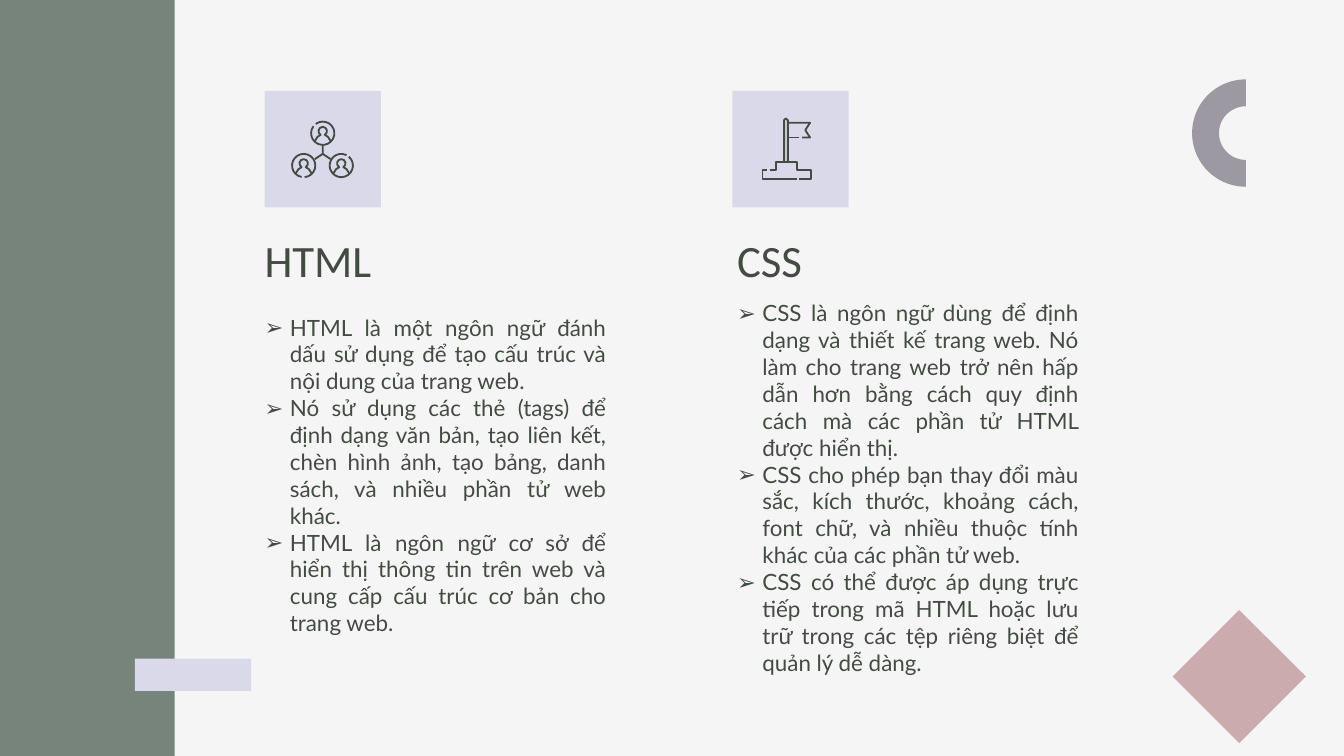
"""Builds a slide that introduces HTML and CSS side by side."""
from math import cos, radians, sin

from lxml.etree import SubElement
from pptx import Presentation
from pptx.dml.color import RGBColor
from pptx.enum.shapes import MSO_SHAPE
from pptx.enum.text import MSO_ANCHOR, PP_ALIGN
from pptx.oxml.ns import qn
from pptx.util import Cm, Pt

PAPER = RGBColor(0xF5, 0xF5, 0xF5)
SAGE = RGBColor(0x77, 0x84, 0x7B)
LILAC = RGBColor(0xDA, 0xD9, 0xE9)
ROSE = RGBColor(0xCC, 0xAB, 0xAF)
GREY = RGBColor(0x9C, 0x99, 0xA2)
INK = RGBColor(0x43, 0x4B, 0x43)

TOPICS = [
    {"title": "HTML", "left": 4.75, "tile_left": 5.0, "points_top": 5.68, "points": [
        "HTML là một ngôn ngữ đánh dấu sử dụng để tạo cấu trúc và nội dung của trang web.",
        "Nó sử dụng các thẻ (tags) để định dạng văn bản, tạo liên kết, chèn hình ảnh, "
        "tạo bảng, danh sách, và nhiều phần tử web khác.",
        "HTML là ngôn ngữ cơ sở để hiển thị thông tin trên web và cung cấp cấu trúc "
        "cơ bản cho trang web.",
    ]},
    {"title": "CSS", "left": 13.68, "tile_left": 13.84, "points_top": 5.41, "points": [
        "CSS là ngôn ngữ dùng để định dạng và thiết kế trang web. Nó làm cho trang web "
        "trở nên hấp dẫn hơn bằng cách quy định cách mà các phần tử HTML được hiển thị.",
        "CSS cho phép bạn thay đổi màu sắc, kích thước, khoảng cách, font chữ, và nhiều "
        "thuộc tính khác của các phần tử web.",
        "CSS có thể được áp dụng trực tiếp trong mã HTML hoặc lưu trữ trong các tệp "
        "riêng biệt để quản lý dễ dàng.",
    ]},
]
DECOR = [
    (MSO_SHAPE.RECTANGLE, (0, 0, 3.3, 14.29), 0, SAGE),
    (MSO_SHAPE.RECTANGLE, (22.53, 11.9, 1.78, 1.78), 45, ROSE),
    (MSO_SHAPE.RECTANGLE, (2.55, 12.45, 2.2, 0.61), 0, LILAC),
    (MSO_SHAPE.BLOCK_ARC, (22.53, 1.5, 2.03, 2.03), 270, GREY),
]
TILE_TOP, TILE_SIZE = 1.72, 2.2
COLUMN_WIDTH = 6.96
RING_RADIUS, HEAD_RADIUS = 0.22, 0.08
PEOPLE = [(1.1, 0.8, 233, 577), (0.74, 1.41, 100, 445), (1.45, 1.41, 310, 657)]
LINKS = [[(1.1, 1.02), (1.1, 1.19), (0.95, 1.29)], [(1.1, 1.19), (1.25, 1.29)]]
SHOULDER = [(0.04, 0.03), (0.1, 0.07), (0.15, 0.15)]
FLAG = [
    [(0.98, 1.33), (0.98, 0.55), (1.01, 0.52), (1.05, 0.55), (1.05, 1.33)],
    [(1.05, 0.6), (1.47, 0.6), (1.38, 0.74), (1.47, 0.88), (1.32, 0.88)],
    [(1.27, 0.88), (1.05, 0.88)],
    [(0.71, 1.49), (0.83, 1.49), (0.83, 1.34), (1.22, 1.34), (1.22, 1.49),
     (1.48, 1.49), (1.48, 1.67), (1.27, 1.67)],
]
FLAG_STEP = [[(1.22, 1.67), (0.57, 1.67), (0.57, 1.49), (0.66, 1.49)]]

deck = Presentation()
deck.slide_width, deck.slide_height = Cm(25.4), Cm(14.29)
slide = deck.slides.add_slide(deck.slide_layouts[6])
slide.background.fill.solid()
slide.background.fill.fore_color.rgb = PAPER


def add_solid(preset, box, rotation, color):
    solid = slide.shapes.add_shape(preset, *map(Cm, box))
    solid.rotation = rotation
    solid.shadow.inherit = False
    solid.fill.solid()
    solid.fill.fore_color.rgb = color
    solid.line.fill.background()
    return solid


def add_drawing(left, strokes):
    placed = [[(Cm(left + x), Cm(TILE_TOP + y)) for x, y in stroke] for stroke in strokes]
    builder = slide.shapes.build_freeform(*placed[0][0])
    for index, (start, *rest) in enumerate(placed):
        if index:
            builder.move_to(*start)
        builder.add_line_segments(rest, close=False)
    drawing = builder.convert_to_shape()
    drawing.shadow.inherit = False
    drawing.fill.background()
    drawing.line.color.rgb = INK
    drawing.line.width = Pt(1)


def arc_points(x, y, radius, start, end, steps):
    angles = [radians(start + (end - start) * step / steps) for step in range(steps + 1)]
    return [(x + radius * cos(angle), y + radius * sin(angle)) for angle in angles]


def person_strokes(x, y, start, end):
    ring = arc_points(x, y, RING_RADIUS, start, end, 20)
    left_shoulder, right_shoulder = (
        [(x + side * dx, y + dy) for dx, dy in SHOULDER] for side in (-1, 1))
    head = arc_points(x, y - 0.04, HEAD_RADIUS, 120, 420, 8)
    return [ring, left_shoulder[::-1] + head + right_shoulder]


def add_text(box, paragraphs, font, size, anchor):
    frame = slide.shapes.add_textbox(*map(Cm, box)).text_frame
    frame.word_wrap = True
    frame.vertical_anchor = anchor
    frame.margin_left = frame.margin_right = Cm(0.25)
    frame.margin_top = frame.margin_bottom = Cm(0.25)
    frame.text = "\n".join(paragraphs)
    for paragraph in frame.paragraphs:
        for run in paragraph.runs:
            run.font.name, run.font.size = font, Pt(size)
            run.font.color.rgb = INK
    return frame


def add_bullet(paragraph):
    paragraph.alignment = PP_ALIGN.JUSTIFY
    properties = paragraph._p.get_or_add_pPr()
    properties.set("marL", str(Cm(0.48)))
    properties.set("indent", str(-Cm(0.48)))
    bullet_color = SubElement(properties, qn("a:buClr"))
    SubElement(bullet_color, qn("a:srgbClr"), val=str(INK))
    SubElement(properties, qn("a:buFont"), typeface="Lato")
    SubElement(properties, qn("a:buChar"), char="➢")


for preset, box, rotation, color in DECOR:
    ornament = add_solid(preset, box, rotation, color)
    if preset == MSO_SHAPE.BLOCK_ARC:
        for index, value in enumerate((108, 0, 0.25)):
            ornament.adjustments[index] = value

for topic in TOPICS:
    add_solid(MSO_SHAPE.RECTANGLE, (topic["tile_left"], TILE_TOP, TILE_SIZE, TILE_SIZE), 0, LILAC)
    add_text((topic["left"], 4.11, COLUMN_WIDTH, 1.55), [topic["title"]],
             "Calibri", 24, MSO_ANCHOR.BOTTOM)
    points = add_text((topic["left"], topic["points_top"], COLUMN_WIDTH, 4.34),
                      topic["points"], "Lato", 12, MSO_ANCHOR.TOP)
    for point in points.paragraphs:
        add_bullet(point)

people_left, flag_left = (topic["tile_left"] for topic in TOPICS)
add_drawing(flag_left, FLAG_STEP)
add_drawing(flag_left, FLAG)
add_drawing(people_left, LINKS + [stroke for person in PEOPLE for stroke in person_strokes(*person)])

deck.save("out.pptx")
